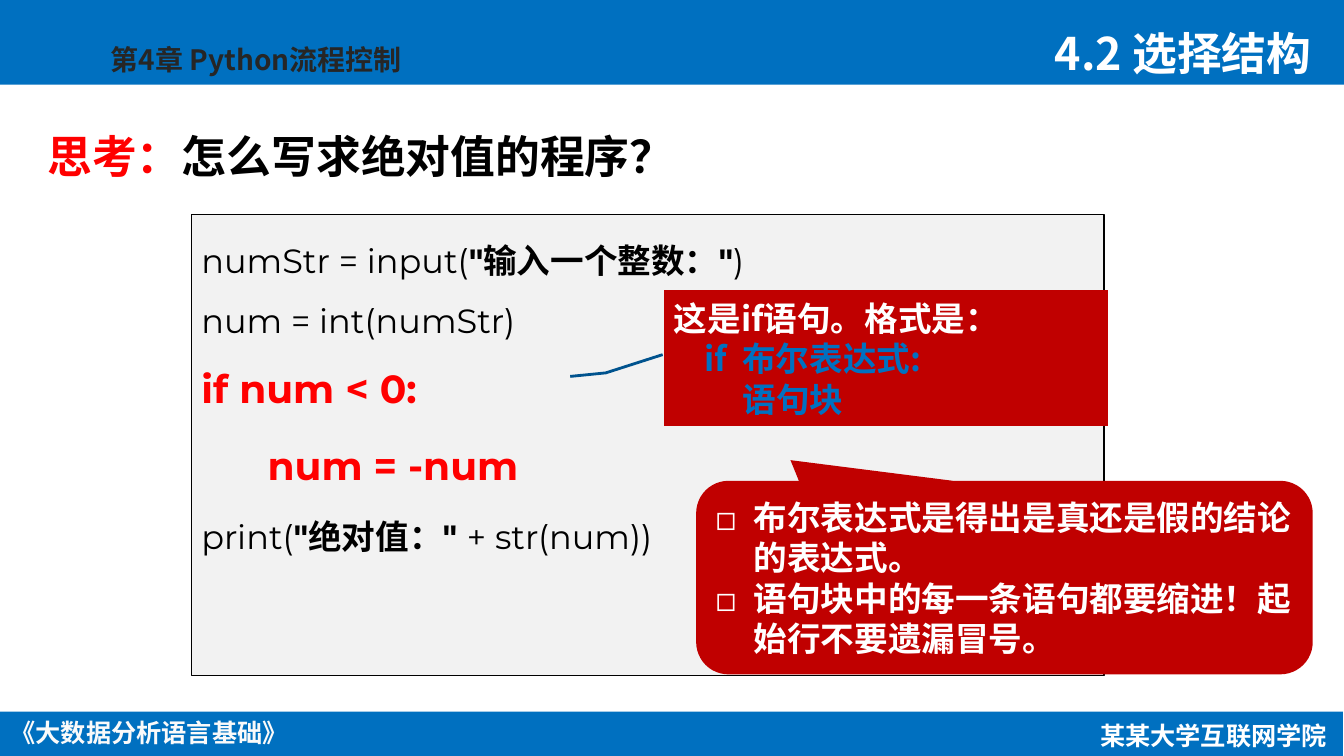
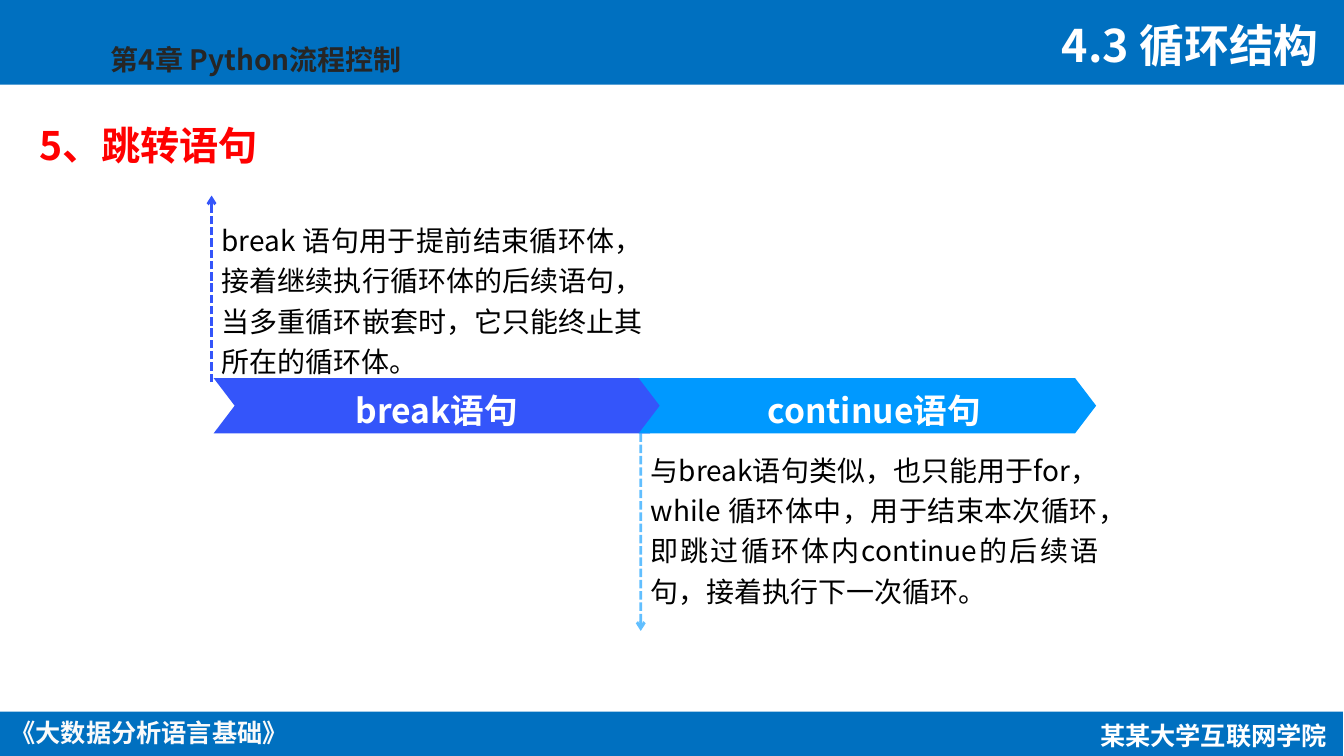
from lxml.etree import SubElement
from pptx import Presentation
from pptx.dml.color import RGBColor
from pptx.enum.dml import MSO_LINE
from pptx.enum.shapes import MSO_CONNECTOR, MSO_SHAPE
from pptx.enum.text import MSO_ANCHOR, MSO_AUTO_SIZE, PP_ALIGN
from pptx.oxml.ns import qn
from pptx.util import Inches, Pt

CJK = "Noto Sans CJK SC"
CODE = "Montserrat"
BAND, WHITE, BLACK = "0070C0", "FFFFFF", "000000"
RED, DARK_RED = "FF0000", "C00000"
BREAK_BLUE, CONTINUE_BLUE = "3455FA", "0099FF"


def rgb(value):
    """Turn a hex string into a colour."""
    return RGBColor.from_string(value)


def style_span(span, size, color, bold, font):
    """Format one run, with the Chinese font for its East Asian text."""
    span.font.size, span.font.bold, span.font.name = Pt(size), bold, font
    span.font.color.rgb = rgb(color)
    SubElement(span.font._element, qn("a:ea")).set("typeface", CJK)


def set_bullet(para, mark, indent):
    """Give a paragraph a hanging bullet."""
    properties = para._p.get_or_add_pPr()
    properties.set("marL", str(Inches(indent)))
    properties.set("indent", str(-Inches(indent)))
    SubElement(properties, qn("a:buFont")).set("typeface", CJK)
    SubElement(properties, qn("a:buChar")).set("char", mark)


def write(box, *paragraphs, size=24, color=WHITE, bold=True, font=CJK, align=PP_ALIGN.LEFT,
          anchor=MSO_ANCHOR.TOP, spacing=None, before=None, bullet=None, wrap=True, grow=False):
    """Fill a shape with paragraphs of plain texts or (text, format) spans."""
    frame = box.text_frame
    frame.word_wrap, frame.vertical_anchor = wrap, anchor
    frame.auto_size = MSO_AUTO_SIZE.SHAPE_TO_FIT_TEXT if grow else MSO_AUTO_SIZE.NONE
    base = dict(size=size, color=color, bold=bold, font=font)
    for index, spans in enumerate(paragraphs):
        para = frame.add_paragraph() if index else frame.paragraphs[0]
        para.alignment = align
        if spacing:
            para.line_spacing = spacing
        if before:
            para.space_before = Pt(before)
        if bullet:
            set_bullet(para, bullet, 0.38)
        for text, changes in [(spans, {})] if isinstance(spans, str) else spans:
            for number, line in enumerate(text.split("\n")):
                if number:
                    para.add_line_break()
                if line:
                    span = para.add_run()
                    span.text = line
                    style_span(span, **{**base, **changes})


def add_text(page, place, text, **options):
    """Add a growing text box."""
    box = page.shapes.add_textbox(*map(Inches, place))
    write(box, text, grow=True, **options)
    return box


def add_block(page, kind, place, fill, line=None, width=1, adjustments=()):
    """Add a filled preset shape, with an outline if a line colour is given."""
    block = page.shapes.add_shape(kind, *map(Inches, place))
    block.shadow.inherit = False
    block.fill.solid()
    block.fill.fore_color.rgb = rgb(fill)
    if line:
        block.line.color.rgb = rgb(line)
        block.line.width = Pt(width)
    else:
        block.line.fill.background()
    for index, value in enumerate(adjustments):
        block.adjustments[index] = value
    return block


def add_arrow(page, left, start, end, color, opacity=100):
    """Add a vertical dashed arrow."""
    arrow = page.shapes.add_connector(MSO_CONNECTOR.STRAIGHT, *map(Inches, (left, start, left, end)))
    arrow.line.color.rgb = rgb(color)
    arrow.line.width = Pt(2)
    arrow.line.dash_style = MSO_LINE.SQUARE_DOT
    line = arrow.line._get_or_add_ln()
    if opacity < 100:
        shade = line.find(".//" + qn("a:srgbClr"))
        SubElement(shade, qn("a:alpha")).set("val", str(opacity * 1000))
    SubElement(line, qn("a:tailEnd")).set("type", "arrow")
    SubElement(arrow._element.spPr, qn("a:effectLst"))


def set_title(page, place, text, **options):
    """Move, fill and format the title placeholder."""
    title = page.shapes.title
    title.left, title.top, title.width, title.height = map(Inches, place)
    write(title, text, **options)


def frame_layout(page, layout):
    """Build the bands and their texts on a page and move them to its layout."""
    parts = [
        add_block(page, MSO_SHAPE.RECTANGLE, (0, 0, 13.34, 0.84), BAND),
        add_block(page, MSO_SHAPE.RECTANGLE, (-0.01, 7.06, 13.34, 0.45), BAND),
        add_text(page, (-0.01, 7.07, 2.98, 0.4), "《大数据分析语言基础》", size=18,
                 color="FAFAFA", align=PP_ALIGN.CENTER, wrap=False),
        add_text(page, (1, 0.37, 3.78, 0.44), "第4章 Python流程控制", size=20, color="262626"),
        add_text(page, (10.81, 7.1, 2.47, 0.4), "某某大学互联网学院", size=18,
                 align=PP_ALIGN.CENTER, wrap=False),
    ]
    for number, part in enumerate(parts, 20):
        part.element.xpath(".//p:cNvPr")[0].set("id", str(number))
        layout.shapes.element.append(part.element)


def build_selection(page):
    """Build the page on the if statement."""
    add_text(page, (10.37, 0.21, 3.3, 0.64), "4.2 选择结构", size=32)
    set_title(page, (0.37, 1.07, 8.83, 0.94),
              [("思考：", {"color": RED}), ("怎么写求绝对值的程序？", {})],
              size=32, color=BLACK, anchor=MSO_ANCHOR.MIDDLE, spacing=1.0)
    strong = {"bold": True}
    branch = {"bold": True, "size": 28, "color": RED}
    code = add_block(page, MSO_SHAPE.RECTANGLE, (1.9, 2.13, 9.06, 4.57), "F2F2F2", BLACK)
    write(code,
          [("numStr = input(", {}), ("\"输入一个整数：\"", strong),
           (")\nnum = int(numStr)\n", {}), ("if num < 0:", branch)],
          [("      num = -num", branch)],
          [("print(", {}), ("\"绝对值：\" ", strong), ("+ str(num))", {})],
          color=BLACK, bold=False, font=CODE, spacing=1.5, before=5)
    syntax = {"color": "0071C1"}
    callout = add_block(page, MSO_SHAPE.LINE_CALLOUT_2_NO_BORDER, (6.59, 2.88, 4.41, 1.35),
                        DARK_RED, "00538E", 2, (0.473, -0.003, 0.607, -0.131, 0.633, -0.211))
    write(callout, "这是if语句。格式是：", [("    if  布尔表达式:", syntax)],
          [("         语句块", syntax)], anchor=MSO_ANCHOR.MIDDLE)
    rules = add_block(page, MSO_SHAPE.ROUNDED_RECTANGULAR_CALLOUT, (6.91, 4.77, 6.12, 1.92),
                      DARK_RED, adjustments=(-0.347, -0.607, 0.167))
    write(rules, "布尔表达式是得出是真还是假的结论的表达式。",
          "语句块中的每一条语句都要缩进！起始行不要遗漏冒号。",
          anchor=MSO_ANCHOR.MIDDLE, bullet="◻")


def build_jump(page):
    """Build the page on break and continue."""
    set_title(page, (0.29, 1.02, 3.86, 0.71), "5、跳转语句", size=28, color=RED,
              anchor=MSO_ANCHOR.BOTTOM, spacing=0.9)
    add_text(page, (9.16, 0.13, 4.03, 0.64), "4.3 循环结构", size=32, align=PP_ALIGN.RIGHT)
    add_arrow(page, 6.36, 4.3, 6.26, CONTINUE_BLUE, opacity=61)
    add_arrow(page, 2.1, 3.79, 1.94, BREAK_BLUE)
    for left, color in ((2.12, BREAK_BLUE), (6.34, CONTINUE_BLUE)):
        add_block(page, MSO_SHAPE.CHEVRON, (left, 3.75, 4.54, 0.55), color, adjustments=(0.381,))
    for left, label in ((3.43, "break语句"), (7.52, "continue语句")):
        add_text(page, (left, 3.82, 2.52, 0.4), label)
    notes = (
        ((2.1, 2.1, 4.38, 1.72),
         "break 语句用于提前结束循环体，接着继续执行循环体的后续语句，当多重循环嵌套时，它只能终止其所在的循环体。"),
        ((6.36, 4.38, 4.64, 1.72),
         "与break语句类似，也只能用于for， while 循环体中，用于结束本次循环，"
         "即跳过循环体内continue的后续语句，接着执行下一次循环。"),
    )
    for place, text in notes:
        add_text(page, place, text, size=20, color=BLACK, bold=False,
                 align=PP_ALIGN.JUSTIFY, spacing=1.2)


def main():
    """Build and save the deck."""
    deck = Presentation()
    deck.slide_width, deck.slide_height = Inches(13.34), Inches(7.5)
    layout = deck.slide_layouts[5]
    pages = [deck.slides.add_slide(layout) for _ in range(2)]
    frame_layout(pages[0], layout)
    for page, build in zip(pages, (build_selection, build_jump)):
        build(page)
    deck.save("out.pptx")


if __name__ == "__main__":
    main()
